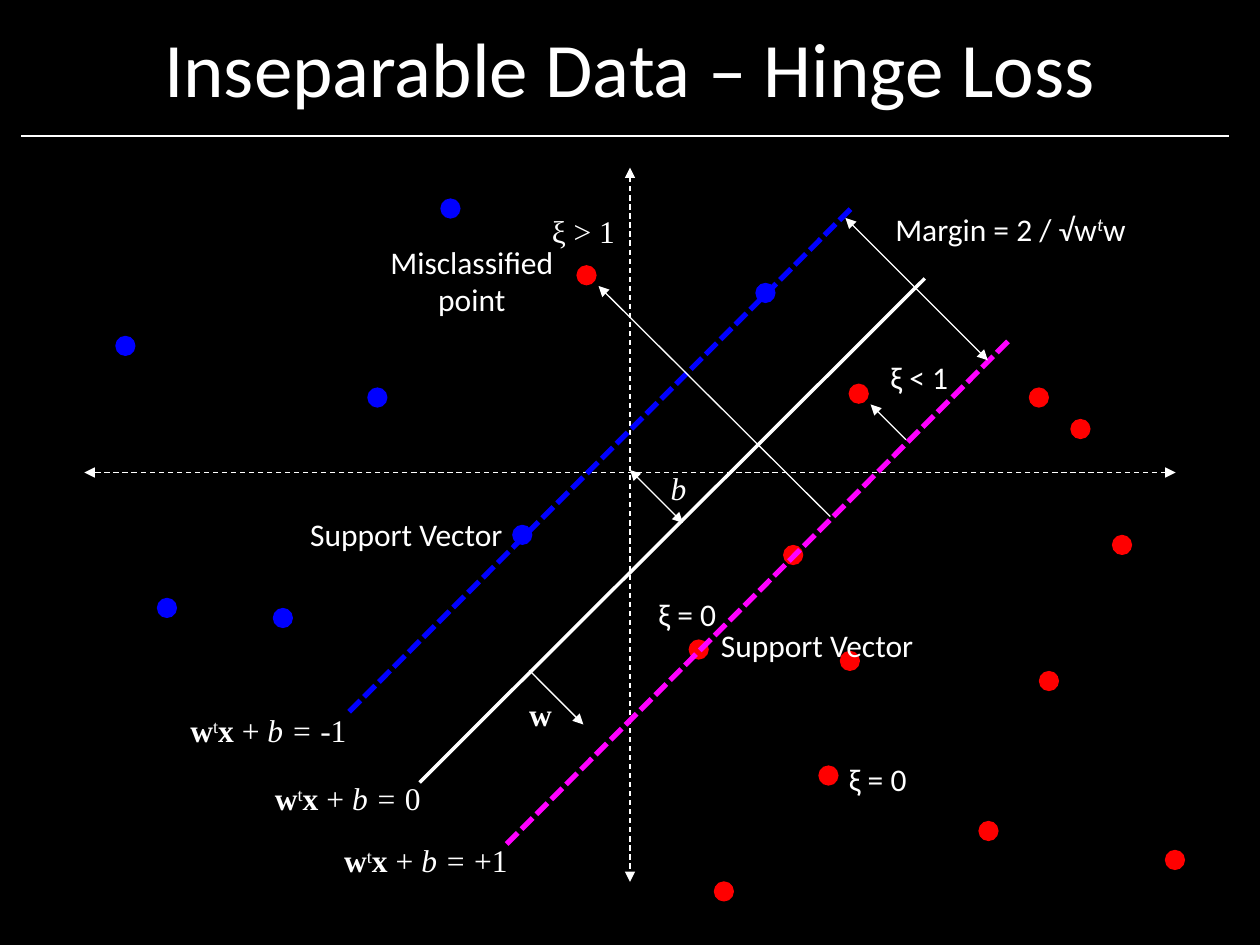
"""Build the slide on hinge loss for data that no line can separate."""
from lxml import etree
from pptx import Presentation
from pptx.dml.color import RGBColor
from pptx.enum.dml import MSO_LINE
from pptx.enum.shapes import MSO_CONNECTOR, MSO_SHAPE
from pptx.enum.text import MSO_ANCHOR, MSO_AUTO_SIZE, PP_ALIGN
from pptx.oxml.ns import qn
from pptx.util import Emu, Pt

PX = 9144
BLACK = RGBColor(0x00, 0x00, 0x00)
WHITE = RGBColor(0xFF, 0xFF, 0xFF)
RED = RGBColor(0xFF, 0x00, 0x00)
BLUE = RGBColor(0x00, 0x00, 0xFF)
MAGENTA = RGBColor(0xFF, 0x00, 0xFF)
SANS, SERIF = "Calibri", "Times New Roman"
STRAIGHT, OVAL = MSO_CONNECTOR.STRAIGHT, MSO_SHAPE.OVAL
DASH, DOTS = MSO_LINE.DASH, MSO_LINE.SQUARE_DOT
CENTER, MIDDLE, TOP = PP_ALIGN.CENTER, MSO_ANCHOR.MIDDLE, MSO_ANCHOR.TOP
GROW, FIXED = MSO_AUTO_SIZE.SHAPE_TO_FIT_TEXT, MSO_AUTO_SIZE.NONE
DOT_SIZE = 15


def add_line(ends, color=WHITE, width=0.75, dash=None, arrows=()):
    line = page.shapes.add_connector(STRAIGHT, *[Emu(end * PX) for end in ends])
    line.line.color.rgb = color
    line.line.width = Pt(width)
    if dash is not None:
        line.line.dash_style = dash
    outline = line.line._get_or_add_ln()
    for arrow in arrows:
        etree.SubElement(outline, qn(f"a:{arrow}"), type="triangle")
    etree.SubElement(line._element.spPr, qn("a:effectLst"))


def add_label(place, spans, font, centered=False):
    box = page.shapes.add_textbox(*[Emu(length * PX) for length in place])
    frame = box.text_frame
    frame.word_wrap = True
    frame.auto_size = FIXED if centered else GROW
    frame.vertical_anchor = MIDDLE if centered else TOP
    para = frame.paragraphs[0]
    para.alignment = CENTER
    if not centered:
        para.line_spacing = 0.9
    for text, style in spans:
        span = para.add_run()
        span.text = text
        span.font.name = font
        span.font.size = Pt(18)
        span.font.color.rgb = WHITE
        span.font.bold = "bold" in style
        span.font.italic = "italic" in style
        if "super" in style:
            span.font._element.set("baseline", "30000")


deck = Presentation()
deck.slide_width, deck.slide_height = Emu(1000 * PX), Emu(750 * PX)
page = deck.slides.add_slide(deck.slide_layouts[5])
page.background.fill.solid()
page.background.fill.fore_color.rgb = BLACK

title = page.shapes.title
title.left, title.top = Emu(0), Emu(10 * PX)
title.width, title.height = Emu(1000 * PX), Emu(86 * PX)
title.text_frame.text = "Inseparable Data – Hinge Loss"
title.text_frame.vertical_anchor = MIDDLE
heading = title.text_frame.paragraphs[0]
heading.alignment = CENTER
heading.runs[0].font.name = SANS
heading.runs[0].font.size = Pt(44)
heading.runs[0].font.color.rgb = WHITE
add_line((17, 108, 975, 108))

points = {
    RED: [(547, 508), (622, 433), (567, 700), (777, 652), (825, 533), (850, 333), (667, 517),
          (817, 308), (883, 425), (650, 608), (925, 675), (458, 211), (674, 305)],
    BLUE: [(407, 417), (600, 225), (350, 158), (125, 475), (217, 483), (292, 308), (92, 267)],
}
for color, corners in points.items():
    for left, top in corners:
        dot = page.shapes.add_shape(
            OVAL, Emu(left * PX), Emu(top * PX), Emu(DOT_SIZE * PX), Emu(DOT_SIZE * PX))
        dot.shadow.inherit = False
        dot.fill.solid()
        dot.fill.fore_color.rgb = color
        dot.line.color.rgb = color
        dot.line.width = Pt(0.75)

both_ends = ("headEnd", "tailEnd")
for axis in [(500, 133, 500, 700), (933, 375, 67, 375)]:
    add_line(axis, dash=DASH, arrows=both_ends)

add_line((734, 221, 333, 621), width=2)
add_line((800, 271, 400, 672), MAGENTA, 3, DOTS)
add_line((675, 166, 275, 567), BLUE, 3, DOTS)

for ends, arrows in [
    ((500, 373, 542, 415), both_ends),
    ((671, 173, 784, 286), both_ends),
    ((420, 532, 463, 575), ("tailEnd",)),
    ((475, 227, 659, 410), ("headEnd",)),
    ((691, 321, 719, 349), ("headEnd",)),
]:
    add_line(ends, arrows=arrows)

for left, top, value in [(180, 617, "0"), (242, 666, "+1"), (117, 563, "-1")]:
    equation = [("w", "bold"), ("t", "super"), ("x", "bold"), (" + ", ""),
                ("b = ", "italic"), (value, "")]
    add_label((left, top, 192, 37), equation, SERIF)

for left, top, text in [(555, 484, "Support Vector"), (281, 195, "Misclassified point"),
                        (229, 396, "Support Vector")]:
    add_label((left, top, 187, 55), [(text, "")], SANS, centered=True)

for left, top, width, font, spans in [
    (517, 371, 43, SERIF, [("b", "italic")]),
    (408, 550, 42, SERIF, [("w", "bold")]),
    (687, 165, 230, SANS, [("Margin = 2 / √w", ""), ("t", "italic super"), ("w", "")]),
    (508, 471, 75, SANS, [("ξ = 0", "")]),
    (692, 283, 75, SANS, [("ξ < 1", "")]),
    (417, 167, 92, SERIF, [("ξ > 1", "")]),
    (659, 602, 75, SANS, [("ξ = 0", "")]),
]:
    add_label((left, top, width, 37), spans, font)

deck.save("out.pptx")
